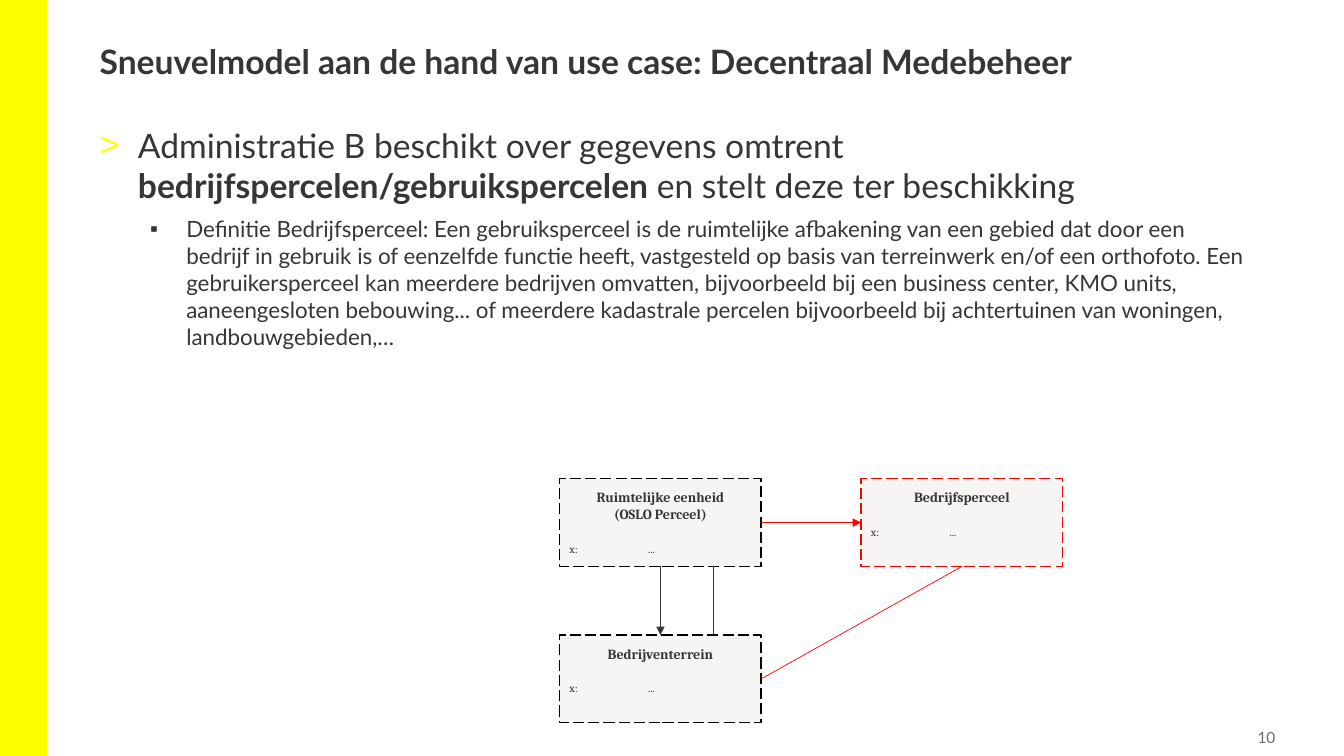
import pptx
import pptx.dml.color
import pptx.enum.dml
import pptx.enum.shapes
import pptx.enum.text
import pptx.oxml
import pptx.oxml.ns
import pptx.util

Inches, Pt = pptx.util.Inches, pptx.util.Pt
ALIGN = pptx.enum.text.PP_ALIGN
ANCHOR = pptx.enum.text.MSO_ANCHOR
RECTANGLE = pptx.enum.shapes.MSO_SHAPE.RECTANGLE

COLOURS = {"accent": "FFFF00", "text": "373636", "number": "6B6B6B",
           "box": "F6F5F3", "black": "000000", "red": "FF0000"}

TITLE = "Sneuvelmodel aan de hand van use case: Decentraal Medebeheer"
STATEMENT = [("Administratie B beschikt over gegevens omtrent ", False),
             ("bedrijfspercelen/gebruikspercelen", True),
             (" en stelt deze ter beschikking", False)]
DEFINITION = (
    "Definitie Bedrijfsperceel: Een gebruiksperceel is de ruimtelijke afbakening van een "
    "gebied dat door een bedrijf in gebruik is of eenzelfde functie heeft, vastgesteld op "
    "basis van terreinwerk en/of een orthofoto. Een gebruikersperceel kan meerdere bedrijven "
    "omvatten, bijvoorbeeld bij een business center, KMO units, aaneengesloten bebouwing... "
    "of meerdere kadastrale percelen bijvoorbeeld bij achtertuinen van woningen, "
    "landbouwgebieden,…")
PAGE_NUMBER = "10"
ATTRIBUTE = "x:\t\t..."

# name: (heading, column, row, outline colour)
ENTITIES = {
    "eenheid": ("Ruimtelijke eenheid\n(OSLO Perceel)", 0, 0, "black"),
    "terrein": ("Bedrijventerrein", 0, 1, "black"),
    "perceel": ("Bedrijfsperceel", 1, 0, "red"),
}
TOP, LEFT, BOTTOM, RIGHT = range(4)
# (from entity, side, to entity, side, colour, arrowhead)
RELATIONS = [
    ("eenheid", BOTTOM, "terrein", TOP, "text", True),
    ("terrein", RIGHT, "perceel", BOTTOM, "red", False),
    ("eenheid", RIGHT, "perceel", LEFT, "red", True),
]
BOX_WIDTH, BOX_HEIGHT = 2, 0.87
GRID_LEFT, GRID_TOP, COLUMN_STEP, ROW_STEP = 5.55, 4.75, 2.99, 1.55
SECOND_LINK_X = 7.08


def colour(name):
    return pptx.dml.color.RGBColor.from_string(COLOURS[name])


def add_xml(parent, xml):
    """Append a DrawingML element, given without its namespace, to parent."""
    head, tail = xml.split(" ", 1)
    namespace = pptx.oxml.ns.nsdecls("a")
    parent.append(pptx.oxml.parse_xml(f"{head} {namespace} {tail}"))


def write(paragraph, text, size, font="Lato", bold=False, tint="text",
          align=ALIGN.LEFT, before=0, spacing=1.0):
    """Add text to paragraph; a newline becomes a line break."""
    paragraph.alignment = align
    paragraph.space_before = Pt(before)
    paragraph.line_spacing = spacing
    for index, line in enumerate(text.split("\n")):
        if index:
            paragraph.add_line_break()
        run = paragraph.add_run()
        run.text = line
        run.font.name, run.font.size, run.font.bold = font, Pt(size), bold
        run.font.color.rgb = colour(tint)


def set_frame(shape, side, edge, anchor=ANCHOR.TOP):
    frame = shape.text_frame
    frame.word_wrap = True
    frame.vertical_anchor = anchor
    frame.margin_left = frame.margin_right = Inches(side)
    frame.margin_top = frame.margin_bottom = Inches(edge)
    return frame


def add_bullet(paragraph, symbol, tint, margin, hanging):
    properties = paragraph._p.get_or_add_pPr()
    properties.set("marL", str(Inches(margin)))
    properties.set("indent", str(-Inches(hanging)))
    add_xml(properties, f'<a:buClr ><a:srgbClr val="{COLOURS[tint]}"/></a:buClr>')
    add_xml(properties, '<a:buFont typeface="Arial"/>')
    add_xml(properties, f'<a:buChar char="{symbol}"/>')


def add_rectangle(slide, left, top, width, height, fill):
    shape = slide.shapes.add_shape(
        RECTANGLE, Inches(left), Inches(top), Inches(width), Inches(height))
    shape.shadow.inherit = False
    shape.fill.solid()
    shape.fill.fore_color.rgb = colour(fill)
    shape.line.fill.background()
    return shape


def add_textbox(slide, left, top, width, height):
    return slide.shapes.add_textbox(
        Inches(left), Inches(top), Inches(width), Inches(height))


def add_entity(slide, heading, column, row, outline):
    box = add_rectangle(slide, GRID_LEFT + column * COLUMN_STEP,
                        GRID_TOP + row * ROW_STEP, BOX_WIDTH, BOX_HEIGHT, "box")
    box.line.color.rgb = colour(outline)
    box.line.width = Pt(1)
    box.line.dash_style = pptx.enum.dml.MSO_LINE.LONG_DASH
    frame = set_frame(box, 0.1, 0.1)
    write(frame.paragraphs[0], heading, 10, font="Cambria", bold=True, align=ALIGN.CENTER)
    attribute = frame.add_paragraph()
    stops = "".join(f'<a:tab pos="{Inches(stop)}" algn="l"/>' for stop in (0.39, 0.78))
    add_xml(attribute._p.get_or_add_pPr(), f"<a:tabLst >{stops}</a:tabLst>")
    write(attribute, ATTRIBUTE, 8, font="Cambria", before=14)
    return box


def add_link(slide, start, end, tint, arrow=False):
    link = slide.shapes.add_connector(
        pptx.enum.shapes.MSO_CONNECTOR.STRAIGHT, *start, *end)
    link.line.color.rgb = colour(tint)
    link.line.width = Pt(0.5)
    if arrow:
        add_xml(link.line._get_or_add_ln(), '<a:tailEnd type="triangle"/>')
    add_xml(link._element.spPr, "<a:effectLst />")
    return link


def main():
    deck = pptx.Presentation()
    deck.slide_width, deck.slide_height = Inches(13.33), Inches(7.5)
    slide = deck.slides.add_slide(deck.slide_layouts[6])

    add_rectangle(slide, 0, 0, 0.47, 7.5, "accent")
    title = set_frame(add_textbox(slide, 0.89, 0.4, 12.23, 0.5), 0.1, 0.05)
    write(title.paragraphs[0], TITLE, 24, bold=True, spacing=0.9)

    body = set_frame(add_textbox(slide, 0.89, 1.19, 11.6, 2.5), 0.1, 0.05)
    statement = body.paragraphs[0]
    add_bullet(statement, ">", "accent", 0.38, 0.38)
    for text, bold in STATEMENT:
        write(statement, text, 24, bold=bold)
    definition = body.add_paragraph()
    definition.level = 1
    add_bullet(definition, "▪", "text", 0.86, 0.36)
    write(definition, DEFINITION, 16, before=7)

    number = set_frame(add_textbox(slide, 11.7, 7.17, 1, 0.29), 0.05, 0.05, ANCHOR.MIDDLE)
    write(number.paragraphs[0], PAGE_NUMBER, 11, tint="number", align=ALIGN.RIGHT)

    boxes = {name: add_entity(slide, *entity) for name, entity in ENTITIES.items()}
    for source, source_side, target, target_side, tint, arrow in RELATIONS:
        link = add_link(slide, (0, 0), (0, 0), tint, arrow)
        link.begin_connect(boxes[source], source_side)
        link.end_connect(boxes[target], target_side)
    unit, terrain = boxes["eenheid"], boxes["terrein"]
    add_link(slide, (Inches(SECOND_LINK_X), unit.top + unit.height),
             (Inches(SECOND_LINK_X), terrain.top), "text")

    deck.save("out.pptx")


if __name__ == "__main__":
    main()
